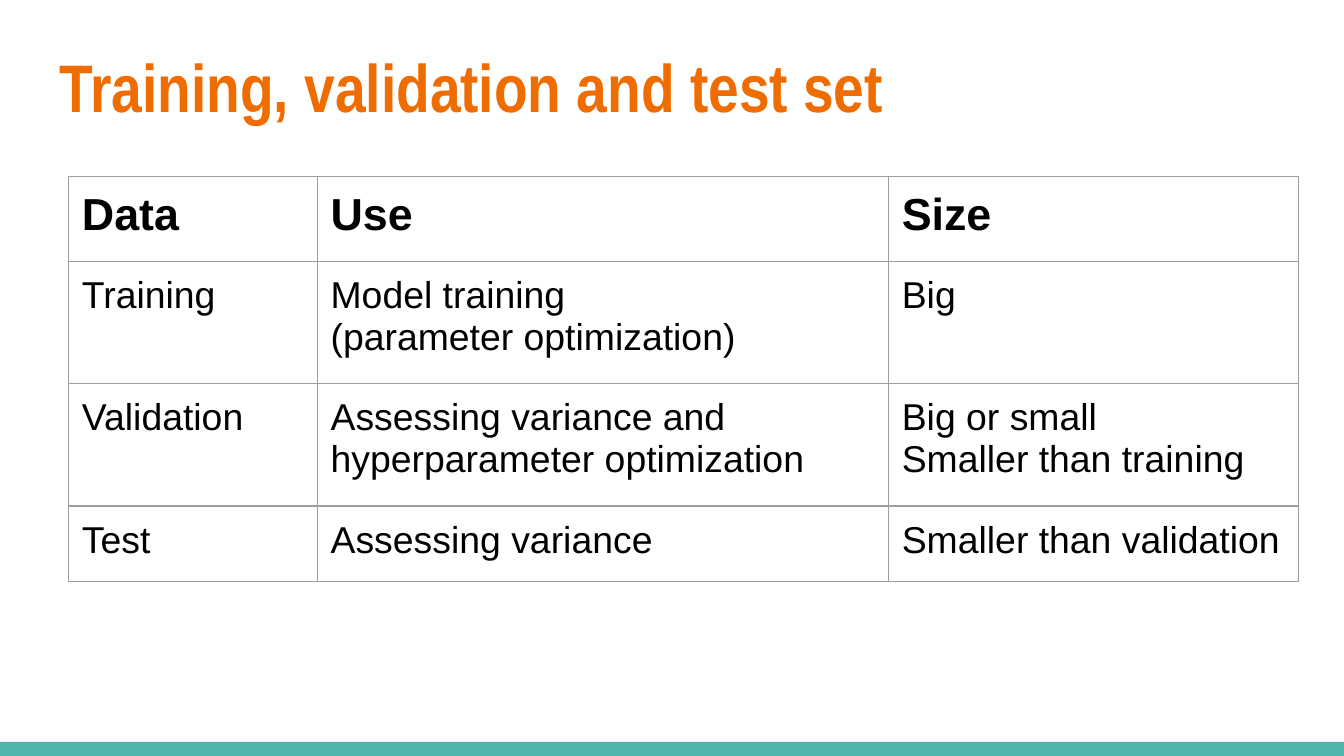
from lxml import etree
from pptx import Presentation
from pptx.dml.color import RGBColor
from pptx.enum.shapes import MSO_SHAPE
from pptx.enum.text import MSO_ANCHOR
from pptx.oxml.ns import qn
from pptx.util import Emu, Pt

RECT = MSO_SHAPE.RECTANGLE
TOP = MSO_ANCHOR.TOP
PX = 4572  # 200 px to the inch
WIDE, HIGH = 2000, 1125
BAR = 21
PAD = 20

ROWS = [
    ["Data", "Use", "Size"],
    ["Training", "Model training\n(parameter optimization)", "Big"],
    ["Validation", "Assessing variance and hyperparameter optimization",
     "Big or small\nSmaller than training"],
    ["Test", "Assessing variance", "Smaller than validation"],
]
WIDTHS = [370, 850, 610]
HEIGHTS = [126, 182, 182, 113]


def px(*sizes):
    return [Emu(size * PX) for size in sizes]


def color(code):
    return RGBColor.from_string(code)


class Deck:
    font = "Arial"
    title_font = "Arial Narrow"
    ink = "000000"
    accent = "EF6C00"
    teal = "4DB6AC"
    grid = "9E9E9E"

    def __init__(self, width, height):
        self.prs = Presentation()
        self.prs.slide_width, self.prs.slide_height = px(width, height)
        self.slide = self.prs.slides.add_slide(self.prs.slide_layouts[6])

    def style(self, frame, size, font, code, bold):
        for para in frame.paragraphs:
            for run in para.runs:
                run.font.size = Pt(size)
                run.font.name = font
                run.font.bold = bold
                run.font.color.rgb = color(code)

    def pad(self, box):
        """Set equal margins on a text frame or a cell."""
        (box.margin_left, box.margin_top,
         box.margin_right, box.margin_bottom) = px(*[PAD] * 4)

    def bar(self, x, y, w, h):
        shape = self.slide.shapes.add_shape(RECT, *px(x, y, w, h))
        shape.shadow.inherit = False
        shape.fill.solid()
        shape.fill.fore_color.rgb = color(self.teal)
        shape.line.fill.background()

    def title(self, text, x, y, w, h):
        frame = self.slide.shapes.add_textbox(*px(x, y, w, h)).text_frame
        frame.word_wrap = True
        frame.vertical_anchor = TOP
        self.pad(frame)
        frame.text = text
        self.style(frame, 36, self.title_font, self.accent, True)

    def border(self, cell):
        props = cell._tc.get_or_add_tcPr()
        for i, side in enumerate(("lnL", "lnR", "lnT", "lnB")):
            line = etree.Element(qn(f"a:{side}"), w=str(Pt(0.75)))
            fill = etree.SubElement(line, qn("a:solidFill"))
            etree.SubElement(fill, qn("a:srgbClr"), val=self.grid)
            props.insert(i, line)

    def table(self, rows, x, y, widths, heights):
        frame = self.slide.shapes.add_table(
            len(rows), len(widths), *px(x, y, sum(widths), sum(heights)))
        table = frame.table
        table.horz_banding = False
        for col, width in zip(table.columns, px(*widths)):
            col.width = width
        for row, height in zip(table.rows, px(*heights)):
            row.height = height
        for i, texts in enumerate(rows):
            for j, text in enumerate(texts):
                cell = table.cell(i, j)
                cell.fill.background()
                self.border(cell)
                self.pad(cell)
                cell.vertical_anchor = TOP
                cell.text_frame.text = text
                size = 20 if i else 24
                self.style(cell.text_frame, size, self.font, self.ink, i == 0)


def main():
    deck = Deck(WIDE, HIGH)
    deck.bar(0, HIGH - BAR, WIDE, BAR)
    deck.title("Training, validation and test set", 69, 48, 1864, 154)
    deck.table(ROWS, 102, 263, WIDTHS, HEIGHTS)
    deck.prs.save("out.pptx")


if __name__ == "__main__":
    main()
